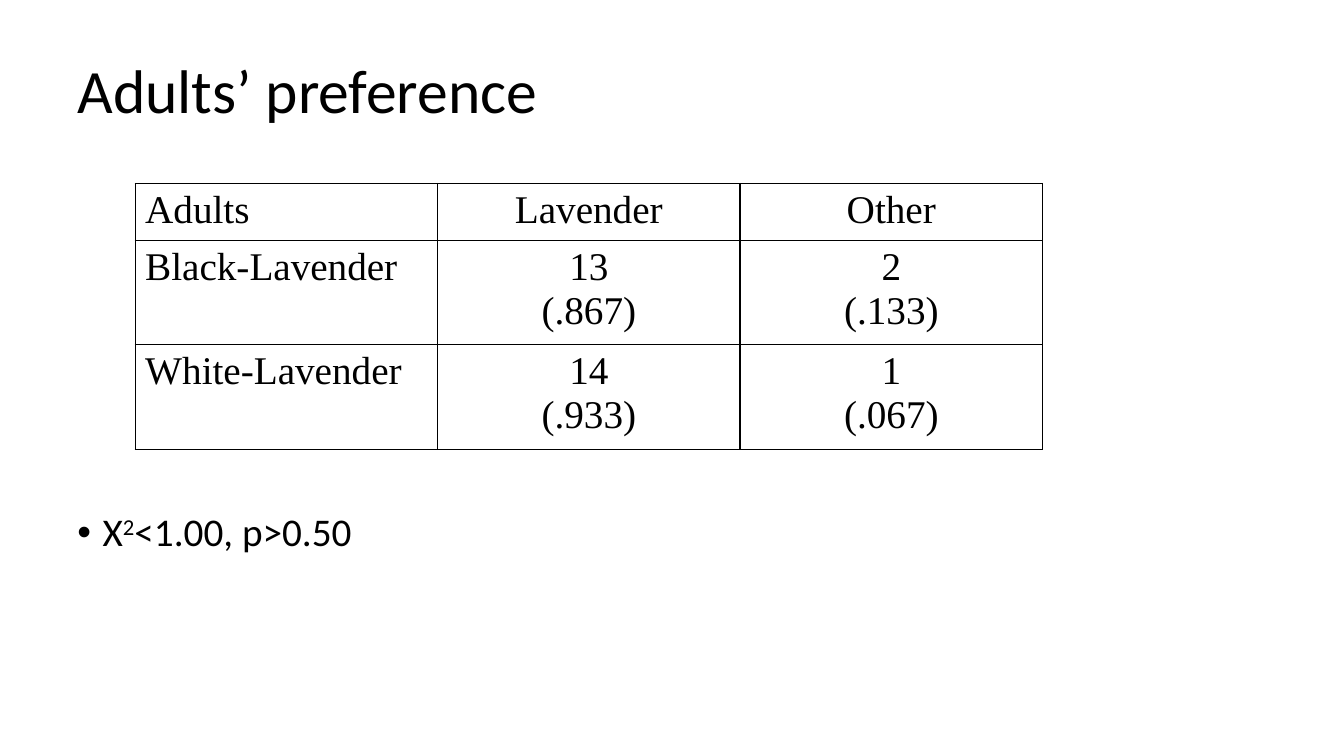
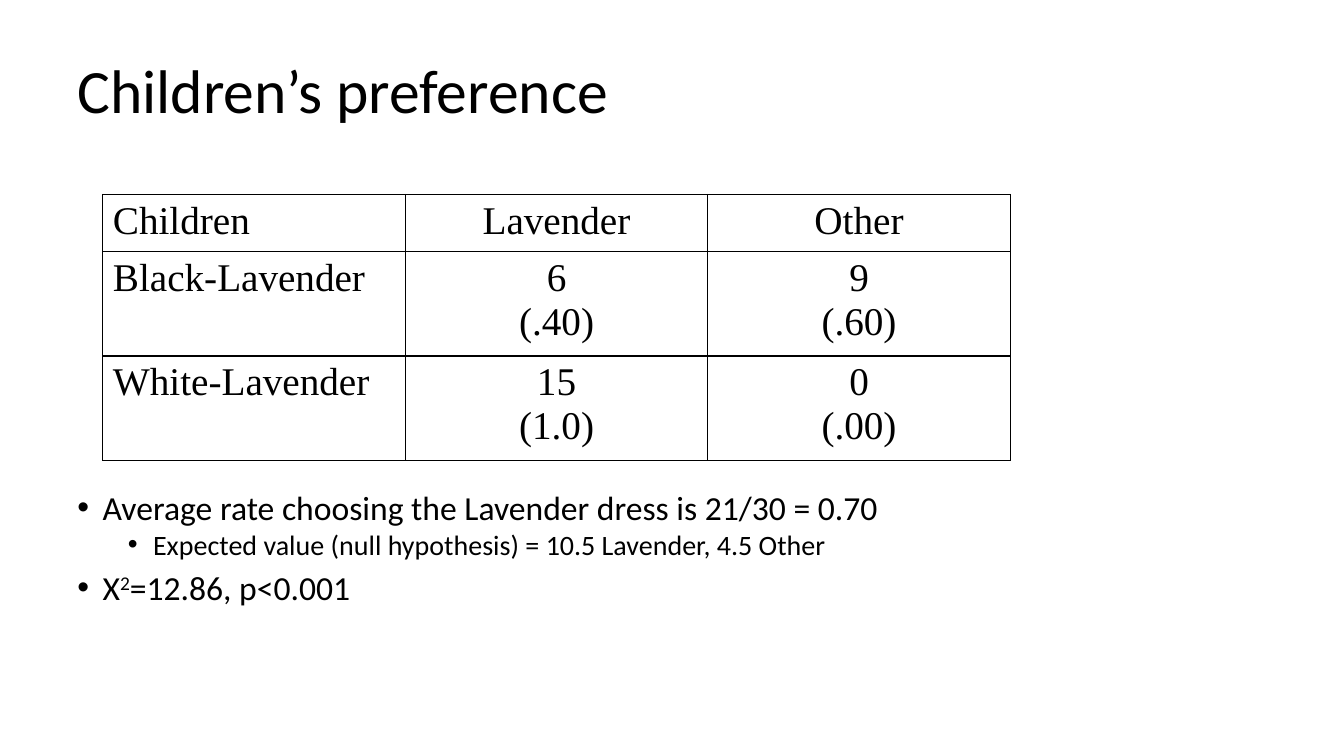
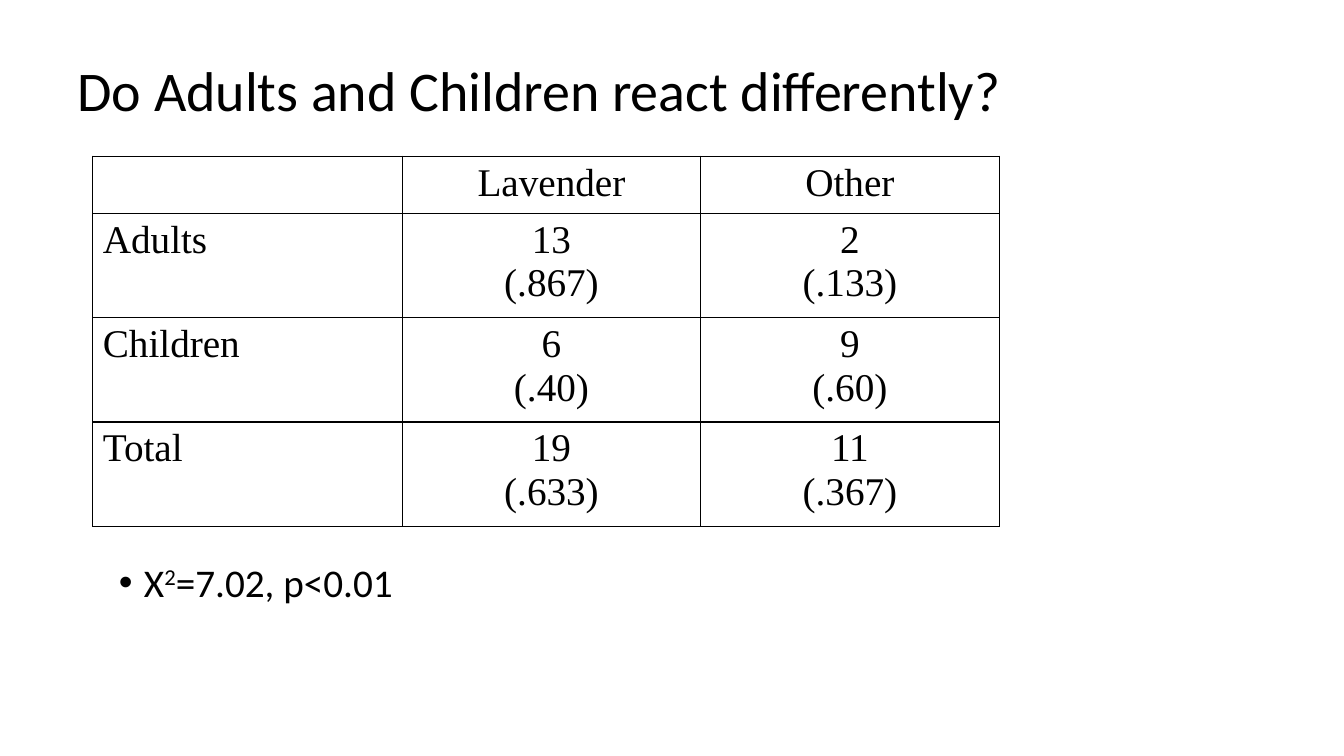
from dataclasses import dataclass

import lxml.etree
import pptx
import pptx.dml.color
import pptx.enum.text
import pptx.oxml.ns
import pptx.util

Inches = pptx.util.Inches
Pt = pptx.util.Pt

COLORS = {"text": "000000", "border": "000000", "background": "FFFFFF"}
BODY_FONT = "Calibri"
TABLE_FONT = "Times New Roman"
TABLE_TEXT_SIZE = 28
HEADER_HEIGHT, ROW_HEIGHT = 0.53, 0.96
HANGING_INDENT = 0.25


@dataclass(frozen=True)
class TextRun:
    text: str
    superscript: bool = False


@dataclass(frozen=True)
class Bullet:
    runs: tuple[TextRun, ...]
    size: int = 28
    level: int = 0


@dataclass(frozen=True)
class Box:
    left: float
    top: float
    width: float
    height: float


@dataclass(frozen=True)
class ResultSlide:
    title: str
    table_left: float
    table_top: float
    rows: tuple[tuple[str, ...], ...]
    bullet_box: Box
    bullets: tuple[Bullet, ...]
    title_size: int = 44
    column_widths: tuple[float, ...] = (3, 3, 3)
    bullet_spacing: float = 0.9


def chi_square(result: str, size: int = 28) -> Bullet:
    return Bullet((TextRun("X"), TextRun("2", True), TextRun(result)), size)


TITLE_BOX = Box(0.67, 0.3, 12, 1.25)

RESULT_SLIDES = (
    ResultSlide(
        title="Adults’ preference",
        table_left=1.34,
        table_top=1.82,
        rows=(
            ("Adults", "Lavender", "Other"),
            ("Black-Lavender", "13\n(.867)", "2\n(.133)"),
            ("White-Lavender", "14\n(.933)", "1\n(.067)"),
        ),
        bullet_box=Box(0.67, 5.04, 12, 1.66),
        bullets=(chi_square("<1.00, p>0.50"),),
    ),
    ResultSlide(
        title="Children’s preference",
        table_left=1.02,
        table_top=1.93,
        rows=(
            ("Children", "Lavender", "Other"),
            ("Black-Lavender", "6\n(.40)", "9\n(.60)"),
            ("White-Lavender", "15\n(1.0)", "0\n(.00)"),
        ),
        bullet_box=Box(0.67, 4.86, 12, 1.84),
        bullets=(
            Bullet((TextRun("Average rate choosing the Lavender dress is 21/30 = 0.70"),), 24),
            Bullet((TextRun("Expected value (null hypothesis) = 10.5 Lavender, 4.5 Other"),), 20, 1),
            chi_square("=12.86, p<0.001", 24),
        ),
        bullet_spacing=0.8,
    ),
    ResultSlide(
        title="Do Adults and Children react differently?",
        title_size=40,
        table_left=0.92,
        table_top=1.55,
        column_widths=(3.07, 2.96, 2.96),
        rows=(
            ("", "Lavender", "Other"),
            ("Adults", "13\n(.867)", "2\n(.133)"),
            ("Children", "6\n(.40)", "9\n(.60)"),
            ("Total", "19\n(.633)", "11\n(.367)"),
        ),
        bullet_box=Box(1.08, 5.54, 9, 1.08),
        bullets=(chi_square("=7.02, p<0.01"),),
    ),
)


def add_element(parent, tag: str, **attributes: str):
    element = lxml.etree.SubElement(parent, pptx.oxml.ns.qn(tag))
    for name, value in attributes.items():
        element.set(name, value)
    return element


def add_run(paragraph, text_run: TextRun, font_name: str, size: int) -> None:
    run = paragraph.add_run()
    run.text = text_run.text
    run.font.name = font_name
    run.font.size = Pt(size)
    run.font.color.rgb = pptx.dml.color.RGBColor.from_string(COLORS["text"])
    if text_run.superscript:
        run._r.get_or_add_rPr().set("baseline", "30000")


def add_text_frame(slide, box: Box):
    shape = slide.shapes.add_textbox(
        Inches(box.left), Inches(box.top), Inches(box.width), Inches(box.height)
    )
    shape.text_frame.word_wrap = True
    return shape.text_frame


def add_title(slide, title: str, size: int) -> None:
    text_frame = add_text_frame(slide, TITLE_BOX)
    text_frame.vertical_anchor = pptx.enum.text.MSO_ANCHOR.MIDDLE
    paragraph = text_frame.paragraphs[0]
    paragraph.line_spacing = 0.9
    add_run(paragraph, TextRun(title), BODY_FONT, size)


def add_bullets(slide, box: Box, bullets: tuple[Bullet, ...], spacing: float) -> None:
    text_frame = add_text_frame(slide, box)
    for index, bullet in enumerate(bullets):
        paragraph = text_frame.add_paragraph() if index else text_frame.paragraphs[0]
        properties = paragraph._p.get_or_add_pPr()
        properties.set("marL", str(Inches(HANGING_INDENT + 0.5 * bullet.level)))
        properties.set("indent", str(-Inches(HANGING_INDENT)))
        add_element(properties, "a:buFont", typeface="Arial")
        add_element(properties, "a:buChar", char="•")
        paragraph.level = bullet.level
        paragraph.line_spacing = spacing
        if index:
            paragraph.space_before = Pt(5 if bullet.level else 10)
        for text_run in bullet.runs:
            add_run(paragraph, text_run, BODY_FONT, bullet.size)


def style_cell(cell) -> None:
    properties = cell._tc.get_or_add_tcPr()
    for side in ("a:lnL", "a:lnR", "a:lnT", "a:lnB"):
        line = add_element(properties, side, w=str(Pt(1)))
        add_element(add_element(line, "a:solidFill"), "a:srgbClr", val=COLORS["border"])
    cell.fill.background()


def add_result_table(slide, content: ResultSlide) -> None:
    row_heights = [HEADER_HEIGHT] + [ROW_HEIGHT] * (len(content.rows) - 1)
    table = slide.shapes.add_table(
        len(content.rows),
        len(content.column_widths),
        Inches(content.table_left),
        Inches(content.table_top),
        Inches(sum(content.column_widths)),
        Inches(sum(row_heights)),
    ).table
    table.first_row = False
    table.horz_banding = False
    for column, width in zip(table.columns, content.column_widths):
        column.width = Inches(width)
    for row, height in zip(table.rows, row_heights):
        row.height = Inches(height)

    for row_index, values in enumerate(content.rows):
        for column_index, value in enumerate(values):
            cell = table.cell(row_index, column_index)
            style_cell(cell)
            for line_index, text in enumerate(value.splitlines()):
                text_frame = cell.text_frame
                paragraph = text_frame.add_paragraph() if line_index else text_frame.paragraphs[0]
                if column_index:
                    paragraph.alignment = pptx.enum.text.PP_ALIGN.CENTER
                add_run(paragraph, TextRun(text), TABLE_FONT, TABLE_TEXT_SIZE)


def main() -> None:
    presentation = pptx.Presentation()
    presentation.slide_width = Inches(13.33)
    presentation.slide_height = Inches(7.5)
    # Shared background
    background = presentation.slide_master.background.fill
    background.solid()
    background.fore_color.rgb = pptx.dml.color.RGBColor.from_string(COLORS["background"])
    # One slide for each comparison
    for content in RESULT_SLIDES:
        slide = presentation.slides.add_slide(presentation.slide_layouts[6])
        add_title(slide, content.title, content.title_size)
        add_result_table(slide, content)
        add_bullets(slide, content.bullet_box, content.bullets, content.bullet_spacing)
    presentation.save("out.pptx")


if __name__ == "__main__":
    main()
